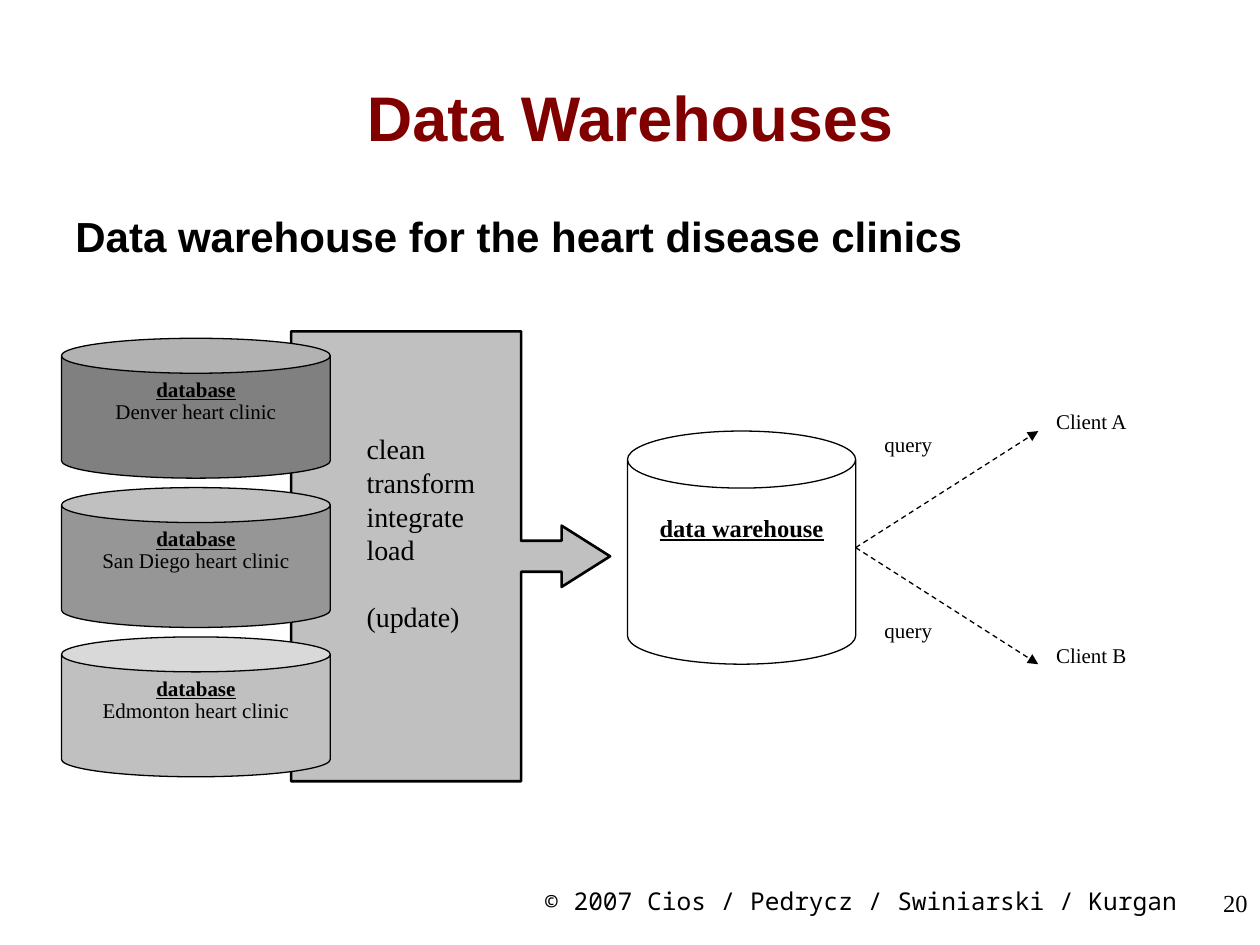
from dataclasses import dataclass

from lxml import etree
from pptx import Presentation
from pptx.dml.color import RGBColor
from pptx.enum import dml, shapes, text
from pptx.oxml.ns import qn
from pptx.util import Cm, Pt

LEFT, CENTER, RIGHT = text.PP_ALIGN.LEFT, text.PP_ALIGN.CENTER, text.PP_ALIGN.RIGHT
PADDING = (0.25, 0.13, 0.25, 0.13)
NO_PADDING = (0, 0, 0, 0)


@dataclass(frozen=True)
class Theme:
    ink: str = "000000"
    title: str = "800000"
    paper: str = "FFFFFF"
    process: str = "C0C0C0"
    clinics: tuple = ("808080", "969696", "C0C0C0")
    sans: str = "Arial"
    serif: str = "Times New Roman"
    mono: str = "Noto Sans Mono"
    title_size: int = 36
    heading_size: int = 24
    step_size: int = 16
    note_size: int = 14
    label_size: int = 12
    thin: float = 0.75
    thick: float = 1.5


class SlideBuilder:
    def __init__(self, page, theme):
        self.page = page
        self.theme = theme

    def fill_text(self, shape, lines, size, font=None, color=None, align=LEFT,
                  padding=PADDING, anchor=text.MSO_ANCHOR.TOP, spacing=None):
        """Fill a shape with lines, each a (wording, font overrides) pair."""
        frame = shape.text_frame
        left, top, right, bottom = (Cm(side) for side in padding)
        layout = {"word_wrap": True, "vertical_anchor": anchor,
                  "margin_left": left, "margin_top": top,
                  "margin_right": right, "margin_bottom": bottom}
        for name, value in layout.items():
            setattr(frame, name, value)
        for index, (wording, overrides) in enumerate(lines):
            para = frame.add_paragraph() if index else frame.paragraphs[0]
            para.alignment = align
            if spacing:
                para.line_spacing = spacing
            span = para.add_run()
            span.text = wording
            formats = {"name": font or self.theme.serif, "size": Pt(size), **overrides}
            for name, value in formats.items():
                setattr(span.font, name, value)
            span.font.color.rgb = RGBColor.from_string(color or self.theme.ink)
        return frame

    def label(self, place, wording, size, bold=False, **style):
        box = self.page.shapes.add_textbox(*(Cm(length) for length in place))
        self.fill_text(box, [(wording, {"bold": bold})], size, **style)

    def shape(self, kind, place, fill, weight, adjustments):
        shape = self.page.shapes.add_shape(kind, *(Cm(length) for length in place))
        shape.shadow.inherit = False
        shape.fill.solid()
        shape.fill.fore_color.rgb = RGBColor.from_string(fill)
        shape.line.color.rgb = RGBColor.from_string(self.theme.ink)
        shape.line.width = Pt(weight)
        for index, value in enumerate(adjustments):
            shape.adjustments[index] = value
        return shape

    def cylinder(self, place, fill, lines, size, **style):
        can = self.shape(shapes.MSO_SHAPE.CAN, place, fill, self.theme.thin, [0.25])
        self.fill_text(can, lines, size, align=CENTER, **style)

    def dashed_arrow(self, start, end):
        points = (Cm(length) for length in (*start, *end))
        arrow = self.page.shapes.add_connector(shapes.MSO_CONNECTOR.STRAIGHT, *points)
        arrow.line.color.rgb = RGBColor.from_string(self.theme.ink)
        arrow.line.width = Pt(self.theme.thin)
        arrow.line.dash_style = dml.MSO_LINE.DASH
        properties = arrow.element.spPr
        etree.SubElement(properties.find(qn("a:ln")), qn("a:tailEnd"), type="triangle")
        etree.SubElement(properties, qn("a:effectLst"))


def add_headings(builder, theme):
    builder.label((0, 1.07, 25.4, 2.54), "Data Warehouses", theme.title_size, bold=True,
                  font=theme.sans, color=theme.title, align=CENTER,
                  anchor=text.MSO_ANCHOR.MIDDLE)
    builder.label((1.27, 4.12, 23.5, 1.3), "Data warehouse for the heart disease clinics",
                  theme.heading_size, bold=True, font=theme.sans)


def add_process(builder, theme):
    callout = builder.shape(shapes.MSO_SHAPE.RIGHT_ARROW_CALLOUT, (5.87, 6.68, 6.43, 9.07),
                            theme.process, theme.thick, [0.097, 0.096, 0.152, 0.721])
    steps = ["clean", "transform", "integrate", "load", "(update)"]
    frame = builder.fill_text(callout, [(step, {}) for step in steps], theme.step_size,
                              padding=(1.52, 2.03, 0, 0.13))
    frame.paragraphs[-1].space_before = Pt(19)


def add_databases(builder, theme):
    heading = {"bold": True, "underline": True}
    for row, (city, fill) in enumerate(zip(("Denver", "San Diego", "Edmonton"), theme.clinics)):
        builder.cylinder((1.24, 6.82 + 3.01 * row, 5.42, 2.82), fill,
                         [("database", heading), (f"{city} heart clinic", {})],
                         theme.label_size, padding=(0.05, 0.13, 0.05, 0), spacing=0.88)
    builder.cylinder((12.65, 8.69, 4.6, 4.7), theme.paper, [("data warehouse", heading)],
                     theme.note_size, padding=(0.25, 0.5, 0.25, 0.13))


def add_clients(builder, theme):
    for client, arrow_y, query_y, client_y in (("A", 8.69, 8.69, 8.23),
                                               ("B", 13.39, 12.45, 12.95)):
        builder.dashed_arrow((17.25, 11.04), (20.93, arrow_y))
        for place, wording in (((17.83, query_y, 1.37, 0.94), "query"),
                               ((21.29, client_y, 2.41, 0.94), f"Client {client}")):
            builder.label(place, wording, theme.label_size, padding=NO_PADDING)


def add_footer(builder, theme):
    builder.label((10.16, 17.73, 14.4, 1.32), "© 2007 Cios / Pedrycz / Swiniarski / Kurgan",
                  theme.note_size, font=theme.mono, align=CENTER)
    builder.label((20.12, 17.78, 5.28, 1.27), "20", theme.note_size, align=RIGHT)


def main():
    deck = Presentation()
    deck.slide_width, deck.slide_height = Cm(25.4), Cm(19.05)
    theme = Theme()
    builder = SlideBuilder(deck.slides.add_slide(deck.slide_layouts[6]), theme)
    for add_part in (add_headings, add_process, add_databases, add_clients, add_footer):
        add_part(builder, theme)
    deck.save("out.pptx")


if __name__ == "__main__":
    main()
